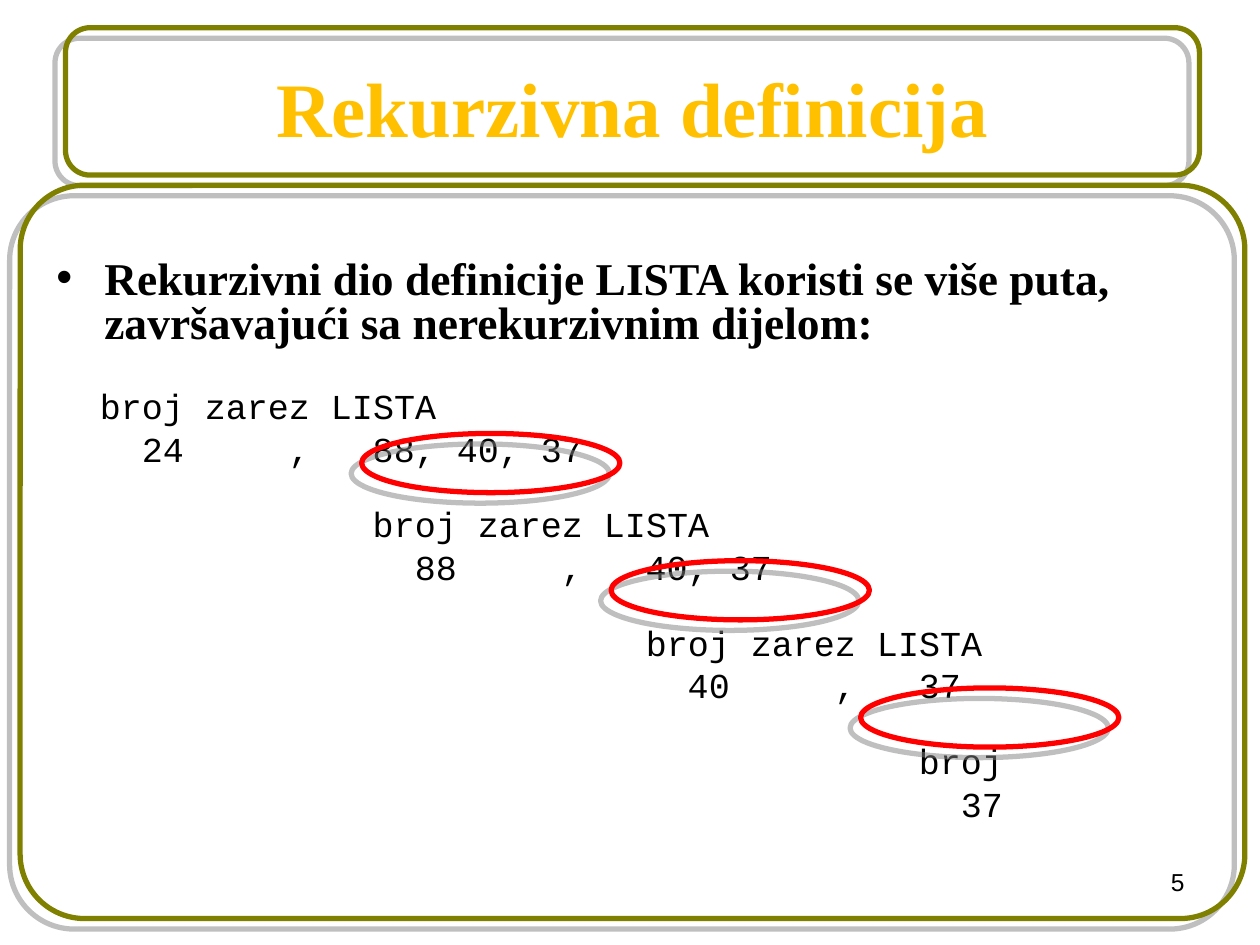
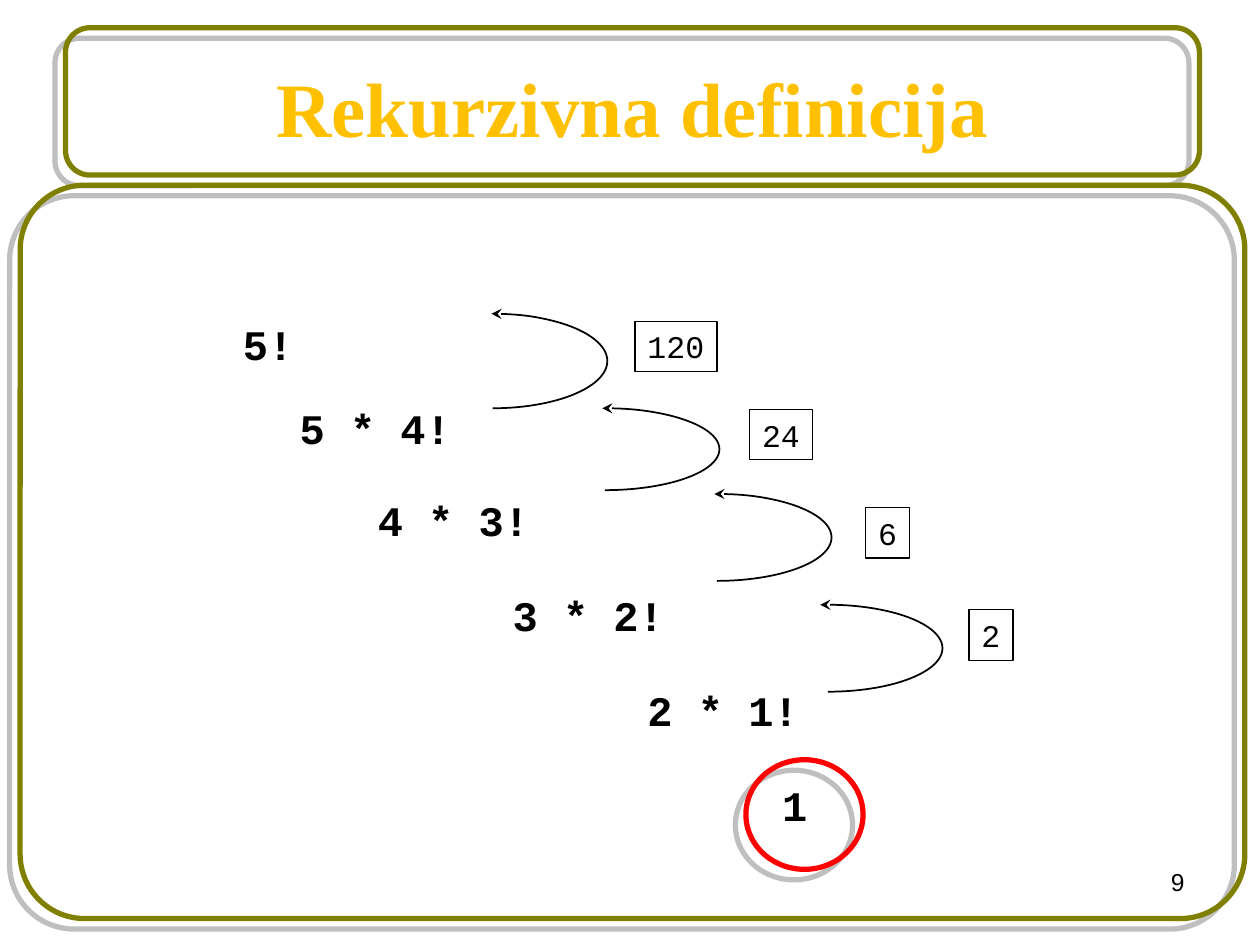
from dataclasses import dataclass
from math import atan2, degrees

from lxml.etree import SubElement as Sub
from pptx import Presentation
from pptx.dml.color import RGBColor as Rgb
from pptx.enum.shapes import MSO_SHAPE as Shape
from pptx.enum.text import MSO_ANCHOR as Anchor, PP_ALIGN as Align
from pptx.oxml.ns import qn
from pptx.util import Inches, Pt


@dataclass(frozen=True)
class Theme:
    """Colours, fonts and type sizes of the deck."""
    gold: str = "FFC000"
    olive: str = "808000"
    red: str = "FF0000"
    black: str = "000000"
    grey: str = "808080"
    serif: str = "Times New Roman"
    mono: str = "Courier New"
    sans: str = "Arial"
    title: int = 44
    lead: int = 26
    term: int = 24
    code: int = 20
    value: int = 18
    page: int = 14


T = Theme()
CHAR = T.code * 0.6 / 72
TITLE = "Rekurzivna definicija"
LEAD = ("Rekurzivni dio definicije LISTA koristi se više puta, "
        "završavajući sa nerekurzivnim dijelom:")
STEPS = [("24", "88, 40, 37"), ("88", "40, 37"), ("40", "37"), ("37", "")]
TERMS = [("5!", 1.33, 0), ("5 * 4!", 1.78, 19), ("4 * 3!", 2.4, 24),
         ("3 * 2!", 3.47, 25.5), ("2 * 1!", 4.54, 25.5), ("1", 5.61, 25.5)]
ARCS = [(6.57, 4.8, 0.69, 0.06), (5.69, 3.92, 0.69, 0.02),
        (4.8, 3.24, 0.65, 0.02), (3.91, 2.49, 0.75, 0.01)]
VALUES = [("2", 7.69, 4.84), ("6", 6.87, 4.03), ("24", 5.95, 3.25), ("120", 5.04, 2.55)]


def place(item, box):
    """Move and size an item to a box given in inches."""
    item.left, item.top, item.width, item.height = map(Inches, box)


def add_run(para, text, size, font, bold=False, color=T.black):
    """Add one formatted run to a paragraph."""
    run = para.add_run()
    run.text = text
    run.font.size = Pt(size)
    run.font.name = font
    run.font.bold = bold
    run.font.color.rgb = Rgb.from_string(color)


def add_para(frame, before=0, spacing=1.0):
    """Return the next free paragraph of a text frame."""
    first = frame.paragraphs[0]
    para = frame.add_paragraph() if first.runs else first
    para.space_before = Pt(before)
    para.line_spacing = spacing
    return para


def indent(para, first, left=0):
    """Set the first line and left indents in inches."""
    props = para._p.get_or_add_pPr()
    props.set("marL", str(Inches(left)))
    props.set("indent", str(Inches(first)))
    return props


def add_bullet(para):
    """Hang a round bullet before a paragraph."""
    props = indent(para, -0.38, 0.38)
    Sub(props, qn("a:buFont")).set("typeface", T.sans)
    Sub(props, qn("a:buChar")).set("char", "•")


def add_box(slide, box):
    """Add a wrapping text box and return its frame."""
    frame = slide.shapes.add_textbox(*map(Inches, box)).text_frame
    frame.word_wrap = True
    return frame


def outline(slide, kind, box, color, width):
    """Add an unfilled preset shape with a plain line."""
    shape = slide.shapes.add_shape(kind, *map(Inches, box))
    shape.fill.background()
    shape.line.color.rgb = Rgb.from_string(color)
    shape.line.width = Pt(width)
    shape.shadow.inherit = False
    return shape


def add_ring(slide, kind, box, color):
    """Add a thick outline that casts a soft grey shadow."""
    ring = outline(slide, kind, box, color, 3)
    cast = Sub(ring._element.spPr.find(qn("a:effectLst")), qn("a:outerShdw"))
    for key, value in (("dist", Pt(8.5)), ("dir", 8100000),
                       ("algn", "ctr"), ("rotWithShape", 0)):
        cast.set(key, str(value))
    tint = Sub(cast, qn("a:srgbClr"))
    tint.set("val", T.grey)
    Sub(tint, qn("a:alpha")).set("val", "50000")
    return ring


def add_arc(slide, mid, top, height, lean):
    """Add a right half ellipse whose arrow tip leans past its top."""
    reach = 0.91
    arc = outline(slide, Shape.ARC, (mid - reach, top, 2 * reach, height), T.black, 1)
    arc.adjustments[0] = 0.6 * (270 - degrees(atan2(lean, height / 2)))
    arc.adjustments[1] = 0.6 * 90
    Sub(arc.line._get_or_add_ln(), qn("a:headEnd")).set("type", "stealth")


def add_value(slide, text, left, top):
    """Add a boxed result as wide as its digits need."""
    width = 0.2 + 0.15 * len(text)
    shape = outline(slide, Shape.RECTANGLE, (left, top, width, 0.4), T.black, 0.75)
    frame = shape.text_frame
    frame.word_wrap = False
    frame.vertical_anchor = Anchor.TOP
    para = add_para(frame)
    para.alignment = Align.LEFT
    add_run(para, text, T.value, T.mono)


def add_page(deck, number):
    """Add a slide with the shared title, frames and number."""
    slide = deck.slides.add_slide(deck.slide_layouts[5])
    title = slide.shapes.title
    place(title, (0.52, 0.22, 9, 1.25))
    title.text_frame.vertical_anchor = Anchor.MIDDLE
    para = title.text_frame.paragraphs[0]
    para.alignment = Align.CENTER
    add_run(para, TITLE, T.title, T.serif, True, T.gold)
    for box, bend in (((0.52, 0.22, 9, 1.17), 0.167), ((0.16, 1.47, 9.72, 5.82), 0.088)):
        ring = add_ring(slide, Shape.ROUNDED_RECTANGLE, box, T.olive)
        ring.adjustments[0] = bend
    para = add_para(add_box(slide, (7.17, 6.83, 2.33, 0.52)))
    para.alignment = Align.RIGHT
    add_run(para, str(number), T.page, T.sans)
    return slide


def add_code(slide, text, col, top):
    """Add a line of code that starts at a character column."""
    width = 0.3 + CHAR * len(text)
    frame = add_box(slide, (0.36 + CHAR * col, top, width, 0.42))
    add_run(add_para(frame), text, T.code, T.mono)


def add_step(slide, index, head, rest):
    """Add the name and value lines of one list step."""
    col, top = 2 + 13 * index, 3 + 0.94 * index
    low = top + 0.34
    add_code(slide, "broj zarez LISTA" if rest else "broj", col, top)
    add_code(slide, head, col + 2, low)
    if rest:
        add_code(slide, ",", col + 9, low)
        add_code(slide, rest, col + 13, low)


def draw_list(deck):
    """Build the slide on the recursive list."""
    slide = add_page(deck, 5)
    lead = add_para(add_box(slide, (0.35, 2.02, 9, 0.85)), 2, 0.8)
    add_bullet(lead)
    add_run(lead, LEAD, T.lead, T.serif, True)
    for index, (head, rest) in enumerate(STEPS):
        add_step(slide, index, head, rest)
    for index in range(3):
        box = (2.87 + 1.98 * index, 3.44 + 1.01 * index, 2.05, 0.47)
        add_ring(slide, Shape.OVAL, box, T.red)


def draw_terms(deck):
    """Build the slide on the factorial."""
    slide = add_page(deck, 9)
    frame = add_box(slide, (0.5, 2.48, 9, 4.22))
    for text, left, before in TERMS:
        para = add_para(frame, before)
        indent(para, left)
        add_run(para, text, T.term, T.mono, True)
    for arc in ARCS:
        add_arc(slide, *arc)
    for value in VALUES:
        add_value(slide, *value)
    add_ring(slide, Shape.OVAL, (5.92, 6.03, 0.93, 0.87), T.red)


def main():
    """Build and save the deck."""
    deck = Presentation()
    deck.slide_width, deck.slide_height = Inches(10), Inches(7.5)
    draw_list(deck)
    draw_terms(deck)
    deck.save("out.pptx")


if __name__ == "__main__":
    main()
